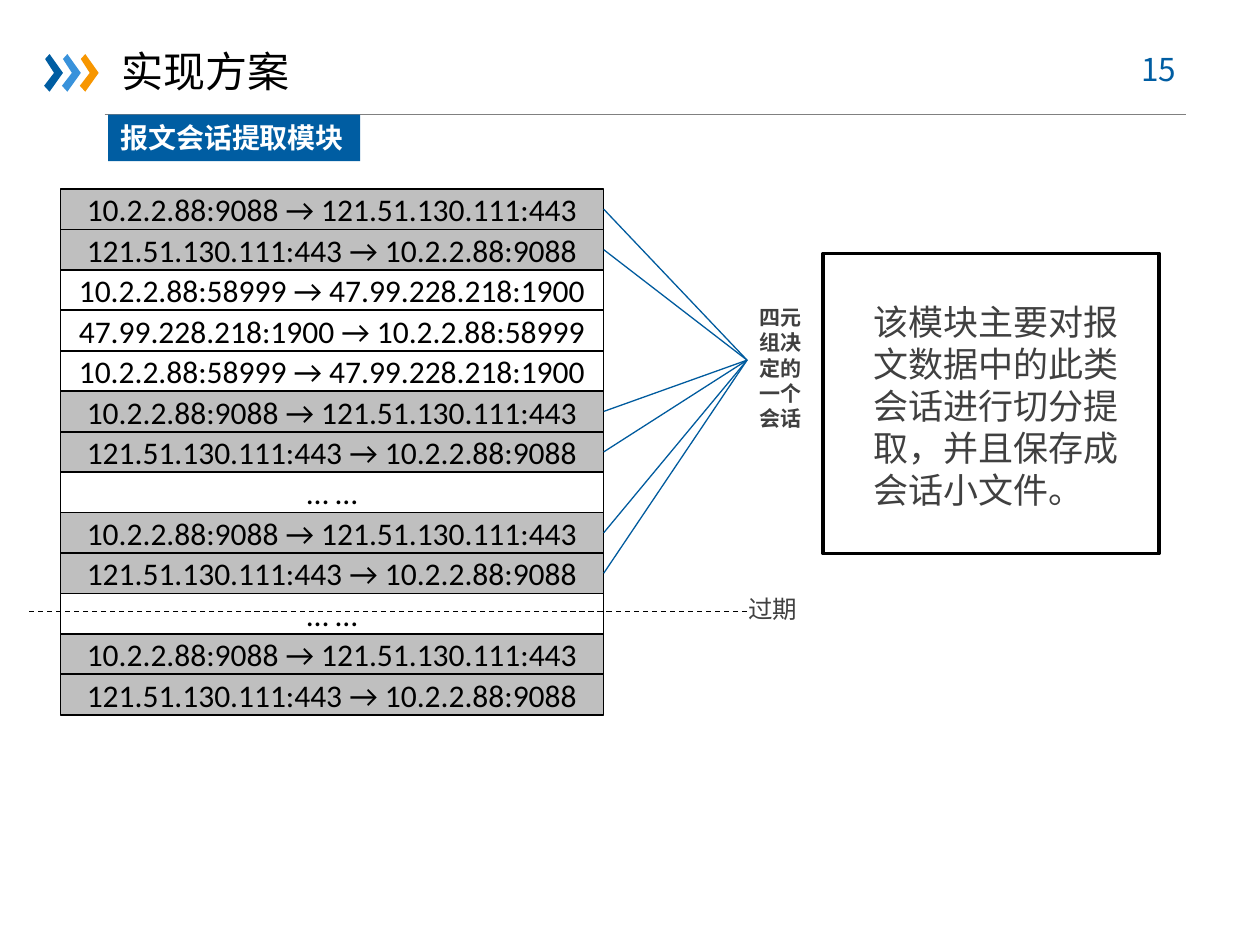
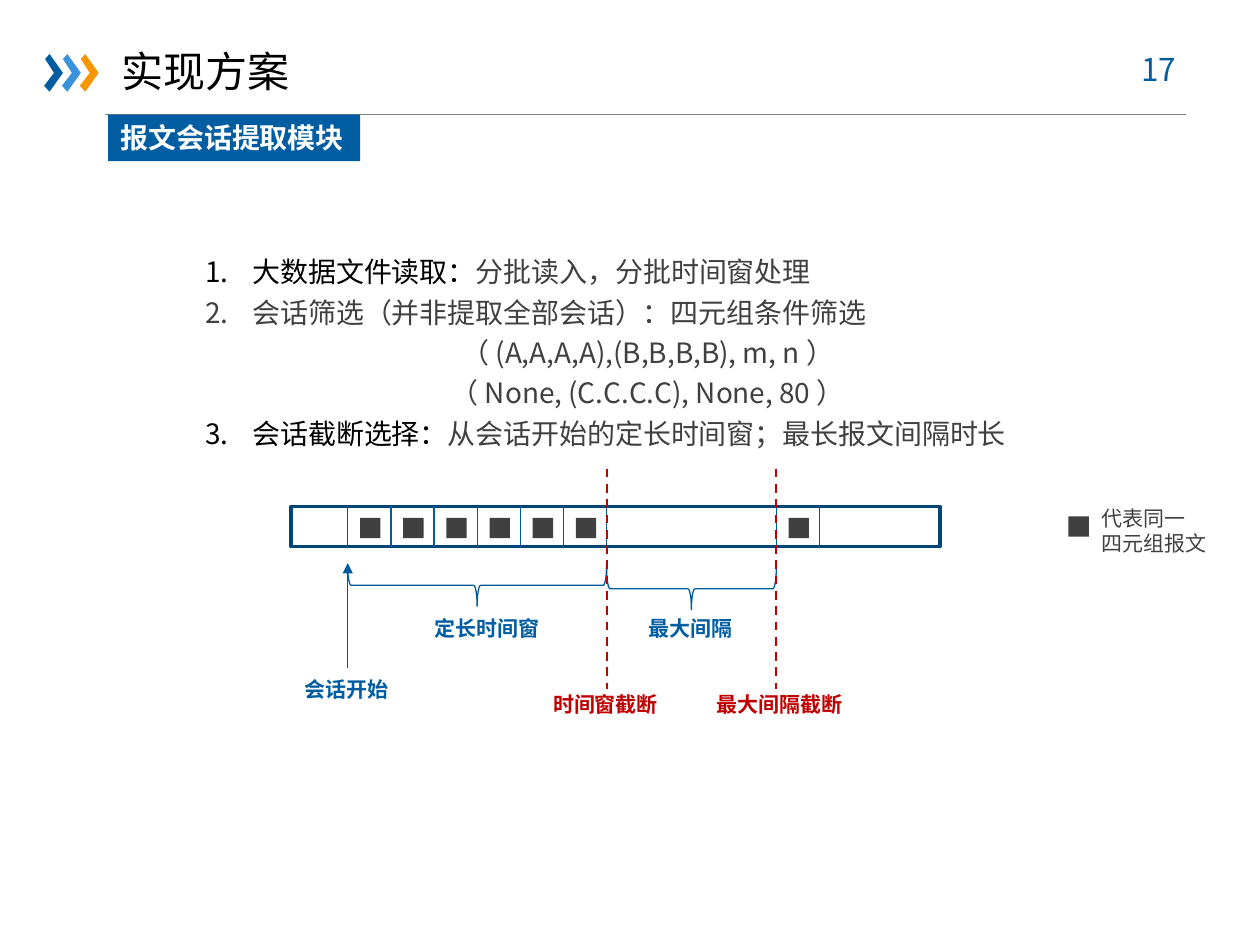
"""Build two slides on the packet session extraction module."""
import pptx
import pptx.dml.color
import pptx.enum.dml
import pptx.enum.shapes
import pptx.enum.text
import pptx.oxml.ns
import pptx.util
from lxml import etree

Cm = pptx.util.Cm
Pt = pptx.util.Pt
RGBColor = pptx.dml.color.RGBColor
ALIGN = pptx.enum.text.PP_ALIGN
ANCHOR = pptx.enum.text.MSO_ANCHOR
SHAPE = pptx.enum.shapes.MSO_SHAPE
qn = pptx.oxml.ns.qn

BLUE = RGBColor(0x00, 0x5D, 0xA2)
LINE_BLUE = RGBColor(0x00, 0x5B, 0x9E)
DARK_BLUE = RGBColor(0x00, 0x45, 0x78)
LIGHT_BLUE = RGBColor(0x39, 0x92, 0xDB)
ORANGE = RGBColor(0xF7, 0x96, 0x00)
RED = RGBColor(0xC0, 0x00, 0x00)
BLACK = RGBColor(0x00, 0x00, 0x00)
WHITE = RGBColor(0xFF, 0xFF, 0xFF)
GREY = RGBColor(0x80, 0x80, 0x80)
DARK_GREY = RGBColor(0x40, 0x40, 0x40)
ROW_GREY = RGBColor(0xBF, 0xBF, 0xBF)

CJK_FONT = "Noto Sans CJK SC"
LATIN_FONT = "Calibri"

CHEVRON = [(0.91, 1.19), (1.0, 1.09), (1.27, 1.47),
           (1.0, 1.85), (0.89, 1.73), (1.09, 1.47)]
CHEVRON_STEP = 0.36

REQUEST = "10.2.2.88:9088 → 121.51.130.111:443"
REPLY = "121.51.130.111:443 → 10.2.2.88:9088"
OTHER_REQUEST = "10.2.2.88:58999 → 47.99.228.218:1900"
OTHER_REPLY = "47.99.228.218:1900 → 10.2.2.88:58999"
MORE = "… …"
PACKETS = [REQUEST, REPLY, OTHER_REQUEST, OTHER_REPLY, OTHER_REQUEST, REQUEST,
           REPLY, MORE, REQUEST, REPLY, MORE, REQUEST, REPLY]
SESSION_ROWS = [0, 1, 5, 6, 8, 9]


class SlideBuilder:
    """Hold the deck style and the slide being built."""

    def __init__(self, deck):
        self.deck = deck
        self.slide = None

    def start_slide(self, title, banner, number):
        """Add a slide with its title, chevrons, rule, banner and number."""
        self.slide = self.deck.slides.add_slide(self.deck.slide_layouts[5])
        self.line((2.11, 2.31), (23.9, 2.31), GREY)
        for index, color in enumerate([BLUE, LIGHT_BLUE, ORANGE]):
            self.chevron(index * CHEVRON_STEP, color)
        self.text((22.43, 0.89, 1.85, 1.02), [[(number, BLUE)]], 18, align=ALIGN.CENTER)
        holder = self.slide.shapes.title
        self.place(holder, (2.18, 0.79, 3.94, 1.27))
        self.fill_text(holder, [[(title, BLACK)]], 24, align=ALIGN.CENTER, wrap=False)
        box = self.shape((2.18, 2.31, 5.08, 0.94), fill=BLUE)
        self.fill_text(box, [[(banner, WHITE)]], 16, bold=True, wrap=False)

    def place(self, box, frame):
        """Move a box to left, top, width and height in centimetres."""
        box.left, box.top, box.width, box.height = map(Cm, frame)

    def shape(self, frame, kind=SHAPE.RECTANGLE, fill=None, line=None, weight=1):
        """Add a preset shape."""
        box = self.slide.shapes.add_shape(kind, *map(Cm, frame))
        self.paint(box, fill, line, weight)
        return box

    def paint(self, box, fill, line=None, weight=1):
        """Set fill and outline, and drop the shadow."""
        box.shadow.inherit = False
        if fill is None:
            box.fill.background()
        else:
            box.fill.solid()
            box.fill.fore_color.rgb = fill
        if line is None:
            box.line.fill.background()
        else:
            box.line.color.rgb = line
            box.line.width = Pt(weight)

    def chevron(self, shift, color):
        """Add one chevron, shifted to the right."""
        points = [(Cm(x + shift), Cm(y)) for x, y in CHEVRON]
        builder = self.slide.shapes.build_freeform(*points[0])
        builder.add_line_segments(points[1:], close=True)
        self.paint(builder.convert_to_shape(), color)

    def brace(self, start, end, top):
        """Add a brace that spans start to end and points down."""
        depth, span = 0.84, end - start
        frame = ((start + end - depth) / 2, top + (depth - span) / 2, depth, span)
        self.shape(frame, SHAPE.LEFT_BRACE, line=LINE_BLUE, weight=0.75).rotation = 270

    def line(self, start, end, color=LINE_BLUE, weight=0.75, dashed=False, arrow=False):
        """Add a straight connector."""
        connector = self.slide.shapes.add_connector(
            pptx.enum.shapes.MSO_CONNECTOR.STRAIGHT, *map(Cm, start + end))
        connector.line.color.rgb = color
        connector.line.width = Pt(weight)
        if dashed:
            connector.line.dash_style = pptx.enum.dml.MSO_LINE.DASH
        if arrow:
            outline = connector.line._get_or_add_ln()
            etree.SubElement(outline, qn("a:tailEnd"), type="triangle")
        etree.SubElement(connector._element.spPr, qn("a:effectLst"))

    def text(self, frame, paragraphs, size, **style):
        """Add a text box and return its paragraphs."""
        box = self.slide.shapes.add_textbox(*map(Cm, frame))
        return self.fill_text(box, paragraphs, size, **style)

    def fill_text(self, box, paragraphs, size, font=CJK_FONT, bold=False,
                  align=ALIGN.LEFT, anchor=ANCHOR.TOP, wrap=True):
        """Write paragraphs, each a list of (text, color) runs."""
        frame = box.text_frame
        frame.auto_size = pptx.enum.text.MSO_AUTO_SIZE.NONE
        frame.word_wrap = wrap
        frame.vertical_anchor = anchor
        for index, spans in enumerate(paragraphs):
            para = frame.add_paragraph() if index else frame.paragraphs[0]
            para.alignment = align
            for words, color in spans:
                span = para.add_run()
                span.text = words
                span.font.size = Pt(size)
                span.font.bold = bold
                span.font.name = font
                span.font.color.rgb = color
                etree.SubElement(span._r.get_or_add_rPr(), qn("a:ea"), typeface=font)
        return frame.paragraphs

    def number(self, para, start):
        """Give a paragraph a hanging automatic number."""
        settings = para._p.get_or_add_pPr()
        settings.set("marL", str(Cm(0.95)))
        settings.set("indent", str(-Cm(0.95)))
        bullet = etree.SubElement(settings, qn("a:buAutoNum"), type="arabicPeriod")
        if start > 1:
            bullet.set("startAt", str(start))

    def label(self, frame, words, color):
        """Add a bold one-line label."""
        self.text(frame, [[(words, color)]], 12, bold=True, wrap=False)


def build_packet_slide(page):
    """Show the packet list and the session picked from it."""
    left, top, width, row = 1.22, 3.81, 10.95, 10.6 / len(PACKETS)
    for index, packet in enumerate(PACKETS):
        fill = ROW_GREY if packet in (REQUEST, REPLY) else None
        box = page.shape((left, top + index * row, width, row), fill=fill, line=BLACK)
        page.fill_text(box, [[(packet, BLACK)]], 18, font=LATIN_FONT,
                       align=ALIGN.CENTER, anchor=ANCHOR.MIDDLE)
    for index in SESSION_ROWS:
        page.line((left + width, top + (index + 0.5) * row), (15.06, 7.26))
    page.line((15.06, 12.32), (0.58, 12.32), BLACK, dashed=True)
    page.text((15.06, 6.02, 1.52, 2.82), [[("四元组决定的一个会话", DARK_GREY)]], 12, bold=True)
    page.shape((16.59, 5.11, 6.78, 6.05), line=BLACK, weight=2)
    summary = "该模块主要对报文数据中的此类会话进行切分提取，并且保存成会话小文件。"
    page.text((17.35, 5.94, 5.92, 4.52), [[(summary, DARK_GREY)]], 20)
    page.text((14.83, 11.86, 2.01, 0.86), [[("过期", DARK_GREY)]], 14)


def build_timeline_slide(page):
    """Show the processing steps and the session timeline."""
    steps = page.text((3.89, 4.88, 18.34, 5.18), [
        [("大数据文件读取：", BLACK), ("分批读入，分批时间窗处理", DARK_GREY)],
        [("会话筛选（并非提取全部会话）：四元组条件筛选", DARK_GREY)],
        [("（ (A,A,A,A),(B,B,B,B), m, n ）", DARK_GREY)],
        [("（ None, (C.C.C.C), None, 80 ）", DARK_GREY)],
        [("会话截断选择：", BLACK), ("从会话开始的定长时间窗；最长报文间隔时长", DARK_GREY)],
    ], 16)
    starts = [1, 1, None, None, 3]
    for para, start in zip(steps, starts):
        para.line_spacing = 1.2
        if start is None:
            para.alignment = ALIGN.CENTER
        else:
            page.number(para, start)

    square = 0.41
    page.shape((21.54, 10.41, square, square), fill=DARK_GREY)
    page.text((21.95, 10.06, 2.9, 1.27),
              [[("代表同一", DARK_GREY)], [("四元组报文", DARK_GREY)]], 12)

    bar_top, bar_height, slot = 10.21, 0.81, 0.87
    page.shape((5.87, bar_top, 13.08, bar_height), line=DARK_BLUE, weight=2)
    window = [7.01 + index * slot for index in range(7)]
    session_start, window_end, gap_end = window[0], window[-1], 15.65
    for x in window + [gap_end, gap_end + slot]:
        page.line((x, bar_top), (x, bar_top + bar_height))
    for x in window[:-1] + [gap_end]:
        page.shape((x + 0.25, 10.44, square, square), fill=DARK_GREY)

    page.line((session_start, 13.46), (session_start, 11.35), arrow=True)
    page.brace(session_start, window_end, 11.38)
    page.brace(window_end, gap_end, 11.45)
    for x in (window_end, gap_end):
        page.line((x, 9.45), (x, 13.89), RED, 1.25, dashed=True)
    page.label((5.89, 13.51, 2.24, 0.76), "会话开始", BLUE)
    page.label((8.51, 12.29, 2.64, 0.76), "定长时间窗", BLUE)
    page.label((12.83, 12.29, 2.24, 0.76), "最大间隔", BLUE)
    page.label((10.9, 13.82, 2.64, 0.76), "时间窗截断", RED)
    page.label((14.2, 13.82, 3.07, 0.76), "最大间隔截断", RED)


def main():
    """Build and save the deck."""
    deck = pptx.Presentation()
    deck.slide_width, deck.slide_height = Cm(25.4), Cm(19.05)
    page = SlideBuilder(deck)
    for number, build in [("15", build_packet_slide), ("17", build_timeline_slide)]:
        page.start_slide("实现方案", "报文会话提取模块", number)
        build(page)
    deck.save("out.pptx")


if __name__ == "__main__":
    main()
